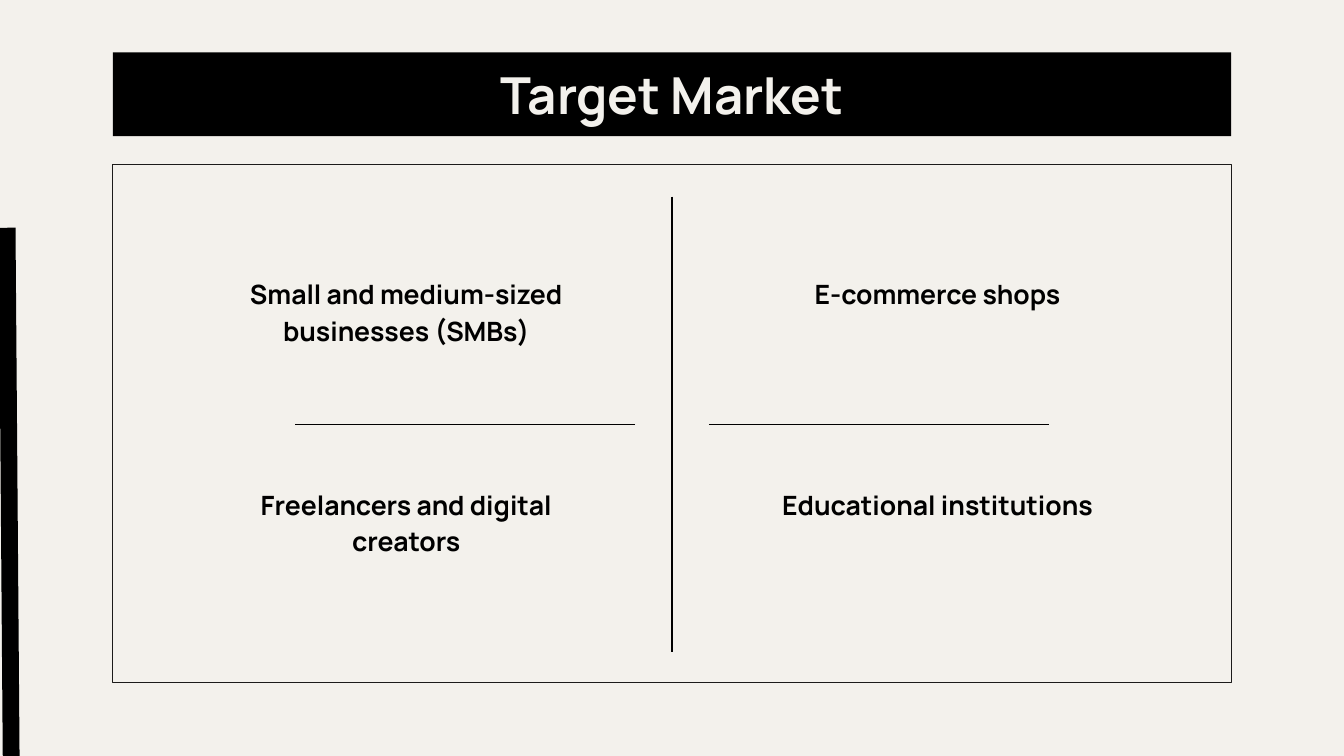
import dataclasses

import pptx
import pptx.dml.color
import pptx.enum.shapes
import pptx.enum.text
import pptx.oxml
import pptx.util


@dataclasses.dataclass(frozen=True)
class Theme:
    font: str = "Manrope"
    paper: str = "F3F1EC"
    ink: str = "000000"
    frame: str = "1C1B1A"
    title_size: float = 36.4
    body_size: float = 19
    hairline: float = 0.75
    bar: float = 12
    inset: float = 0.13


THEME = Theme()
WIDTH = pptx.util.Inches(13.33)
HEIGHT = pptx.util.Inches(7.5)
MARGIN = 8.4
CENTRE = 50
CELL_WIDTH, CELL_HEIGHT = 28.2, 17.47
CELL_COLUMNS = (16.13, 55.66)
CELL_ROWS = (34.4, 62.27)
RULE_ROW = 56.13
RULE_INNER, RULE_OUTER = 2.74, 28.02
MARKETS = (
    ("Small and medium-sized businesses (SMBs)", "E-commerce shops"),
    ("Freelancers and digital creators", "Educational institutions"),
)


def across(percent):
    return round(WIDTH * percent / 100)


def down(percent):
    return round(HEIGHT * percent / 100)


def area(left, top, width, height):
    return across(left), down(top), across(width), down(height)


def color(value):
    return pptx.dml.color.RGBColor.from_string(value)


def set_text(box, text, size, ink, anchor):
    frame = box.text_frame
    frame.word_wrap = True
    frame.auto_size = pptx.enum.text.MSO_AUTO_SIZE.NONE
    frame.vertical_anchor = anchor
    inset = pptx.util.Inches(THEME.inset)
    frame.margin_left = frame.margin_right = inset
    frame.margin_top = frame.margin_bottom = inset
    frame.text = text
    para = frame.paragraphs[0]
    para.alignment = pptx.enum.text.PP_ALIGN.CENTER
    para.font.name = THEME.font
    para.font.size = pptx.util.Pt(size)
    para.font.bold = True
    para.font.color.rgb = color(ink)
    return para


def format_title(page, text):
    title = page.shapes.title
    title.left, title.top, title.width, title.height = area(
        MARGIN, 6.93, 100 - 2 * MARGIN, 11.07)
    title.fill.solid()
    title.fill.fore_color.rgb = color(THEME.ink)
    set_text(title, text, THEME.title_size, THEME.paper,
             pptx.enum.text.MSO_ANCHOR.MIDDLE)


def add_frame(page):
    frame = page.shapes.add_shape(
        pptx.enum.shapes.MSO_SHAPE.RECTANGLE,
        *area(MARGIN, 21.73, 100 - 2 * MARGIN, 68.53))
    frame.shadow.inherit = False
    frame.fill.background()
    frame.line.color.rgb = color(THEME.frame)
    frame.line.width = pptx.util.Pt(THEME.hairline)


def add_rule(page, start, end, weight):
    rule = page.shapes.add_connector(
        pptx.enum.shapes.MSO_CONNECTOR.STRAIGHT,
        across(start[0]), down(start[1]), across(end[0]), down(end[1]))
    rule.line.color.rgb = color(THEME.ink)
    rule.line.width = pptx.util.Pt(weight)
    properties = rule._element.spPr
    properties.append(pptx.oxml.parse_xml(
        '<a:effectLst xmlns:a="http://schemas.openxmlformats.org/drawingml/2006/main"/>'))


def add_market(page, text, left, top):
    box = page.shapes.add_textbox(*area(left, top, CELL_WIDTH, CELL_HEIGHT))
    para = set_text(box, text, THEME.body_size, THEME.ink,
                    pptx.enum.text.MSO_ANCHOR.TOP)
    para.line_spacing = 1.15


def main():
    deck = pptx.Presentation()
    deck.slide_width, deck.slide_height = WIDTH, HEIGHT
    page = deck.slides.add_slide(deck.slide_layouts.get_by_name("Title Only"))
    page.background.fill.solid()
    page.background.fill.fore_color.rgb = color(THEME.paper)

    add_frame(page)
    add_rule(page, (CENTRE, 26), (CENTRE, 86.27), THEME.hairline)
    for side in (-1, 1):
        add_rule(page, (CENTRE + side * RULE_INNER, RULE_ROW),
                 (CENTRE + side * RULE_OUTER, RULE_ROW), THEME.hairline)
    format_title(page, "Target Market")
    for top, row in zip(CELL_ROWS, MARKETS):
        for left, text in zip(CELL_COLUMNS, row):
            add_market(page, text, left, top)
    add_rule(page, (0.53, 30.13), (0.83, 100), THEME.bar)

    deck.save("out.pptx")


if __name__ == "__main__":
    main()
